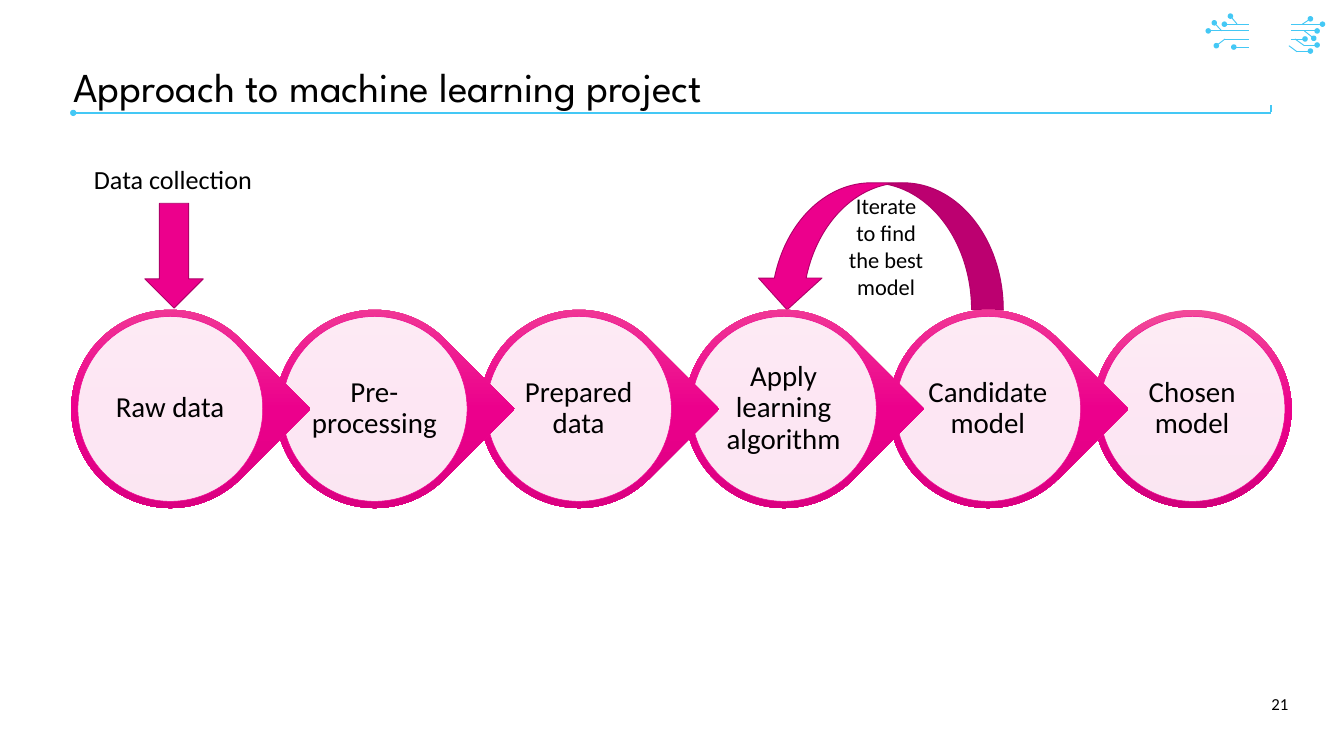
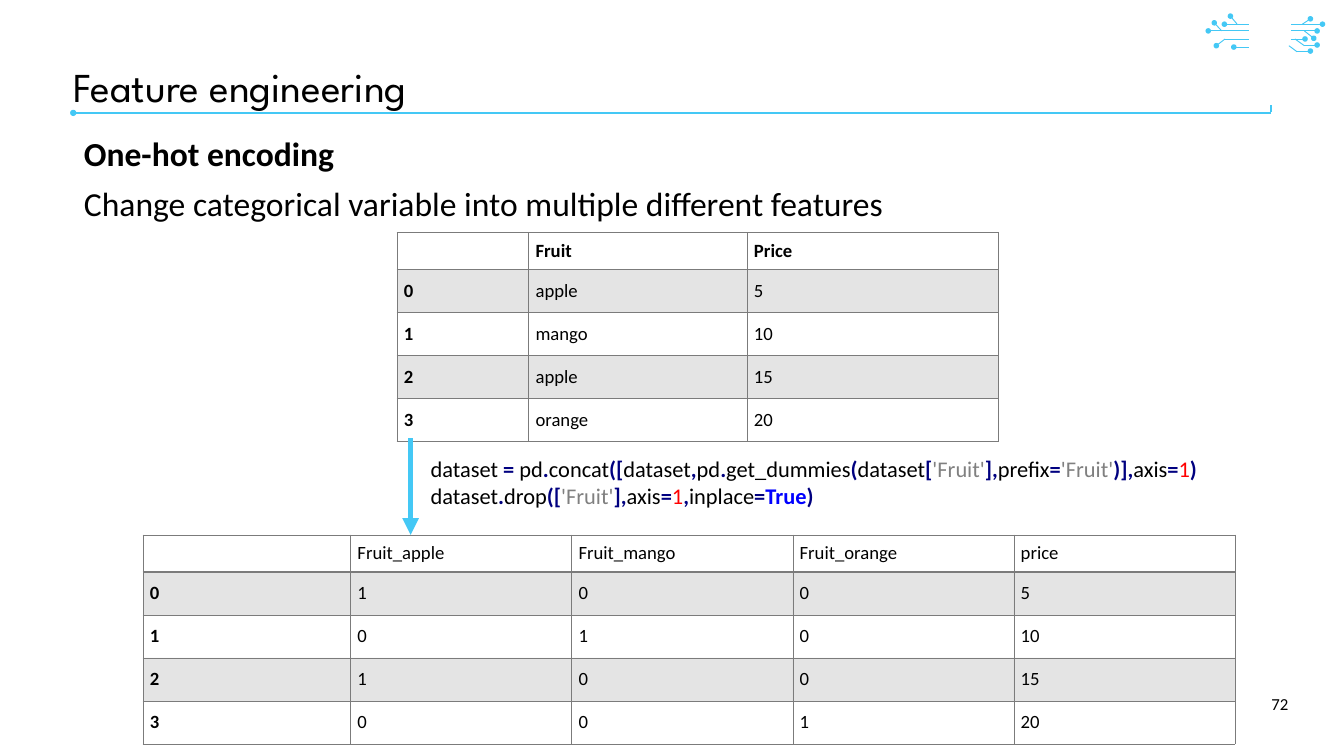
from dataclasses import dataclass

from lxml import etree
from pptx import Presentation
from pptx import util as u
from pptx.dml.color import RGBColor
from pptx.enum import shapes, text
from pptx.oxml.ns import qn


@dataclass(frozen=True)
class Theme:
    """Colours, fonts and type sizes used on every slide."""
    sky: str = "44C8F5"
    pink: str = "EC008C"
    pink_light: str = "F24B99"
    pink_dark: str = "D2007C"
    pink_edge: str = "AF0068"
    grey: str = "7B7B7B"
    black: str = "000000"
    white: str = "FFFFFF"
    code_symbol: str = "000080"
    code_string: str = "808080"
    code_number: str = "FF0000"
    code_keyword: str = "0000FF"
    font: str = "Calibri"
    title_font: str = "League Spartan"
    title: int = 44
    body: int = 36
    step: int = 31
    label: int = 28
    note: int = 24
    cell: int = 20
    page: int = 18


T = Theme()
PX = 9144
ALIGN = text.PP_ALIGN
ANCHOR = text.MSO_ANCHOR
SHAPE = shapes.MSO_SHAPE

CIRCUIT_DOTTED = [
    (1858, 36, 1822, 36), (1858, 46, 1798, 46), (1823, 58, 1810, 68),
    (1858, 70, 1836, 70), (1841, 36, 1831, 24), (1818, 46, 1807, 34),
    (1921, 46, 1960, 46), (1940, 67, 1960, 67), (1921, 58, 1942, 58),
    (1941, 46, 1955, 57), (1921, 36, 1968, 36), (1930, 76, 1950, 76),
    (1938, 36, 1950, 28),
]
CIRCUIT_PLAIN = [(1858, 58, 1822, 58), (1941, 68, 1927, 58), (1930, 77, 1918, 68)]

STEPS = ["Raw data", "Pre-processing", "Prepared data",
         "Apply learning algorithm", "Candidate model", "Chosen model"]

FRUIT_ROWS = [
    ["", "Fruit", "Price"],
    ["0", "apple", "5"],
    ["1", "mango", "10"],
    ["2", "apple", "15"],
    ["3", "orange", "20"],
]
ENCODED_ROWS = [
    ["", "Fruit_apple", "Fruit_mango", "Fruit_orange", "price"],
    ["0", "1", "0", "0", "5"],
    ["1", "0", "1", "0", "10"],
    ["2", "1", "0", "0", "15"],
    ["3", "0", "0", "1", "20"],
]
CODE_LINES = [
    "dataset |=| pd|.|concat|([|dataset|,|pd|.|get_dummies|(|dataset|[|'Fruit'|],|"
    "prefix|=|'Fruit'|)],|axis|=|1|)",
    "dataset|.|drop|([|'Fruit'|],|axis|=|1|,|inplace|=|True|)",
]


def px(*lengths):
    """Turn px lengths into EMU."""
    return [u.Emu(n * PX) for n in lengths]


def rgb(color):
    """Return a colour object for a hex string."""
    return RGBColor.from_string(color)


def sub(parent, tag, **attrs):
    """Append an XML child with attributes."""
    child = etree.SubElement(parent, qn(tag))
    for name, value in attrs.items():
        child.set(name, str(value))
    return child


def write(tf, paragraphs, size=T.note, font=T.font, color=T.black, bold=False,
          align=ALIGN.LEFT, anchor=ANCHOR.TOP, spacing=None, before=0,
          insets=(10, 5, 10, 5), wrap=True):
    """Fill a text frame; a paragraph is a string or a list of (text, format) runs."""
    tf.auto_size = text.MSO_AUTO_SIZE.NONE
    tf.word_wrap = wrap
    tf.vertical_anchor = anchor
    tf.margin_left, tf.margin_top, tf.margin_right, tf.margin_bottom = px(*insets)
    for i, content in enumerate(paragraphs):
        p = tf.add_paragraph() if i else tf.paragraphs[0]
        p.alignment = align
        if spacing:
            p.line_spacing = spacing
        if i and before:
            p.space_before = u.Pt(before)
        runs = [(content, {})] if isinstance(content, str) else content
        for words, fmt in runs:
            for j, line in enumerate(words.split("\v")):
                if j:
                    p.add_line_break()
                r = p.add_run()
                r.text = line
                r.font.size = u.Pt(size)
                r.font.name = font
                r.font.bold = fmt.get("bold", bold)
                r.font.color.rgb = rgb(fmt.get("color", color))


def add_text(parent, box, paragraphs, **fmt):
    """Add a text box."""
    sp = parent.shapes.add_textbox(*px(*box))
    write(sp.text_frame, paragraphs, **fmt)


def add_line(parent, ends, width, head=None, tail=None):
    """Add a straight line with optional end marks."""
    c = parent.shapes.add_connector(shapes.MSO_CONNECTOR.STRAIGHT, *px(*ends))
    c.line.color.rgb = rgb(T.sky)
    c.line.width = u.Pt(width)
    sp_pr = c.element.spPr
    ln = sp_pr.find(qn("a:ln"))
    for tag, kind in (("a:headEnd", head), ("a:tailEnd", tail)):
        if kind:
            sub(ln, tag, type=kind)
    sub(sp_pr, "a:effectLst")


def add_shape(parent, kind, box, fill=None, line=None, width=1, rotation=0):
    """Add a flat preset shape."""
    sp = parent.shapes.add_shape(kind, *px(*box))
    sp.shadow.inherit = False
    sp.rotation = rotation
    if fill:
        sp.fill.solid()
        sp.fill.fore_color.rgb = rgb(fill)
    if line:
        sp.line.color.rgb = rgb(line)
        sp.line.width = u.Pt(width)
    else:
        sp.line.fill.background()
    return sp


def set_opacity(properties, percent):
    """Make the solid fill directly under these properties translucent."""
    color = properties.find(qn("a:solidFill")).find(qn("a:srgbClr"))
    sub(color, "a:alpha", val=percent * 1000)


def fill_pink_gradient(sp):
    """Fill a shape from light pink at the top to dark pink at the bottom."""
    grad = etree.Element(qn("a:gradFill"), rotWithShape="0")
    stops = sub(grad, "a:gsLst")
    for pos, color in ((0, T.pink_light), (50, T.pink), (100, T.pink_dark)):
        sub(sub(stops, "a:gs", pos=pos * 1000), "a:srgbClr", val=color)
    sub(grad, "a:lin", ang=5400000, scaled=0)
    sp.element.spPr.find(qn("a:prstGeom")).addnext(grad)


def add_step(group, label, left, top, is_last):
    """Add one process circle, pointed to the right unless it is the last."""
    kind = SHAPE.OVAL if is_last else SHAPE.TEAR
    ring = add_shape(group, kind, (left, top, 295, 295), rotation=0 if is_last else 45)
    fill_pink_gradient(ring)
    disc = add_shape(group, SHAPE.OVAL, (left + 10, top + 10, 275, 275),
                     T.white, T.pink, 0.5)
    set_opacity(disc.element.spPr, 90)
    add_text(group, (left + 49, top + 49, 196, 196), [label], size=T.step,
             align=ALIGN.CENTER, anchor=ANCHOR.MIDDLE, spacing=0.9, insets=(4, 4, 4, 4))


def set_borders(cell, bottom):
    """Draw thin grey borders, with a given bottom width."""
    for side, width in (("L", 1), ("R", 1), ("T", 1), ("B", bottom)):
        ln = sub(cell._tc.get_or_add_tcPr(), f"a:ln{side}", w=u.Pt(width))
        sub(sub(ln, "a:solidFill"), "a:srgbClr", val=T.grey)


def add_grid(s, left, top, widths, row_height, rows, bold_header):
    """Add a table with an index column and grey odd rows."""
    heights = [55] + [row_height] * (len(rows) - 1)
    frame = s.shapes.add_table(len(rows), len(widths),
                               *px(left, top, sum(widths), sum(heights)))
    table = frame.table
    table.first_row = table.horz_banding = False
    for column, width in zip(table.columns, px(*widths)):
        column.width = width
    for i, (row, height) in enumerate(zip(table.rows, px(*heights))):
        row.height = height
        for j, cell in enumerate(row.cells):
            pad = 15 if i else 10
            bold = j == 0 if i else bold_header
            write(cell.text_frame, [rows[i][j]], size=T.cell, bold=bold)
            cell.vertical_anchor = ANCHOR.MIDDLE
            (cell.margin_left, cell.margin_top,
             cell.margin_right, cell.margin_bottom) = px(10, pad, 10, pad)
            set_borders(cell, 1 if i else 2)
            if i % 2:
                cell.fill.solid()
                cell.fill.fore_color.rgb = rgb(T.grey)
                set_opacity(cell._tc.tcPr, 20)
            else:
                cell.fill.background()


def color_code(line):
    """Split a code line at its bars and style each token by its kind."""
    runs = []
    for token in line.split("|"):
        if token.startswith("'"):
            fmt = {"color": T.code_string}
        elif token.isdigit():
            fmt = {"color": T.code_number}
        elif token == "True":
            fmt = {"color": T.code_keyword, "bold": True}
        elif any(ch.isalpha() for ch in token):
            fmt = {}
        else:
            fmt = {"color": T.code_symbol, "bold": True}
        runs.append((token, fmt))
    return runs


def decorate_layout(layout, s):
    """Put the circuit and the title rule on the layout, drawing them through a slide."""
    for ph in list(layout.placeholders)[1:]:
        ph.element.getparent().remove(ph.element)
    group = s.shapes.add_group_shape()
    for ends in CIRCUIT_DOTTED:
        add_line(group, ends, 1, tail="oval")
    for ends in CIRCUIT_PLAIN:
        add_line(group, ends, 1)
    add_line(group, (109, 168, 1891, 168), 2.25, head="oval")
    add_line(group, (1891, 167, 1891, 157), 2.25)
    layout.shapes.element.append(group.element)


def add_slide(prs, layout, title, number):
    """Add a slide with its title and page number."""
    s = prs.slides.add_slide(layout)
    sp = s.shapes.title
    sp.left, sp.top, sp.width, sp.height = px(109, 97, 1639, 69)
    write(sp.text_frame, [title], size=T.title, font=T.title_font,
          anchor=ANCHOR.BOTTOM, spacing=0.9, insets=(0, 0, 0, 0))
    add_text(s, (1818, 1018, 109, 60), [number], size=T.page,
             align=ALIGN.RIGHT, anchor=ANCHOR.MIDDLE)
    return s


def build_approach(s):
    """Draw the project steps and the loop back to the algorithm."""
    loop = add_shape(s, SHAPE.CURVED_DOWN_ARROW, (1124, 272, 369, 189),
                     T.pink, T.pink_edge)
    loop.element.spPr.find(qn("a:xfrm")).set("flipH", "1")
    write(loop.text_frame, ["Iterate\vto find\vthe best\vmodel"],
          align=ALIGN.CENTER, anchor=ANCHOR.MIDDLE, insets=(30, 5, 10, 5))
    group = s.shapes.add_group_shape()
    last = len(STEPS) - 1
    for i in range(last, -1, -1):
        add_step(group, STEPS[i], round(106 + i * 304.2), 461, i == last)
    add_text(s, (130, 238, 258, 57), ["Data collection"], size=T.label, wrap=False)
    add_shape(s, SHAPE.RIGHT_ARROW, (181, 337, 156, 87), T.pink, T.pink_edge, rotation=90)


def build_encoding(s):
    """Show the table before and after one-hot encoding."""
    add_text(s, (115, 199, 1813, 819),
             [[("One-hot encoding", {"bold": True})],
              "Change categorical variable into multiple different features"],
             size=T.body, spacing=0.9, before=15)
    add_grid(s, 591, 346, [196, 325, 374], 63, FRUIT_ROWS, True)
    add_grid(s, 213, 796, [309] + [329] * 4, 62, ENCODED_ROWS, False)
    add_line(s, (611, 652, 611, 796), 6, tail="triangle")
    add_text(s, (631, 672, 1187, 91), [color_code(line) for line in CODE_LINES])


def main():
    """Build the deck and save it."""
    prs = Presentation()
    prs.slide_width, prs.slide_height = px(2000, 1125)
    layout = prs.slide_layouts[5]
    approach = add_slide(prs, layout, "Approach to machine learning project", "21")
    decorate_layout(layout, approach)
    build_approach(approach)
    build_encoding(add_slide(prs, layout, "Feature engineering", "72"))
    prs.save("out.pptx")


if __name__ == "__main__":
    main()
